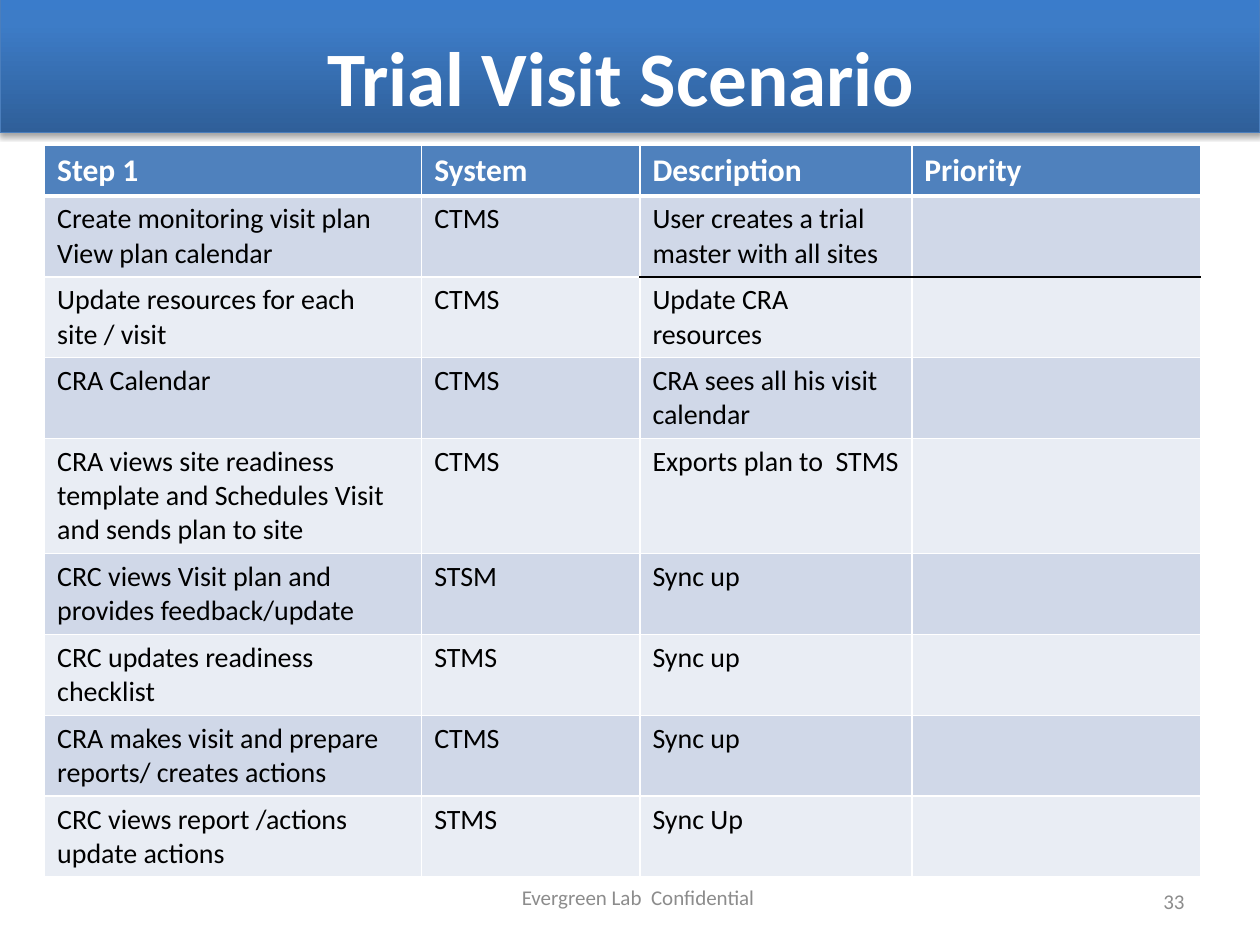
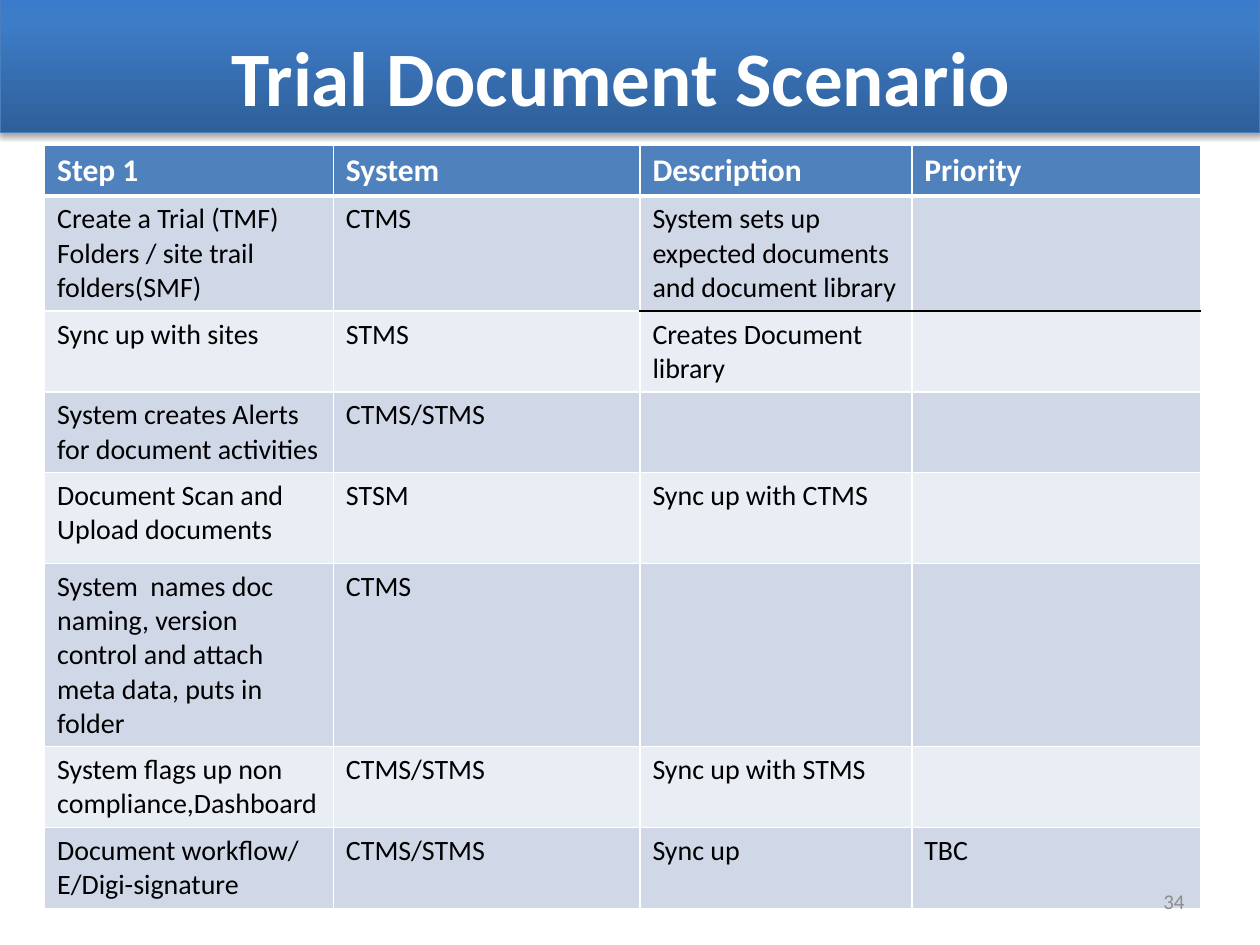
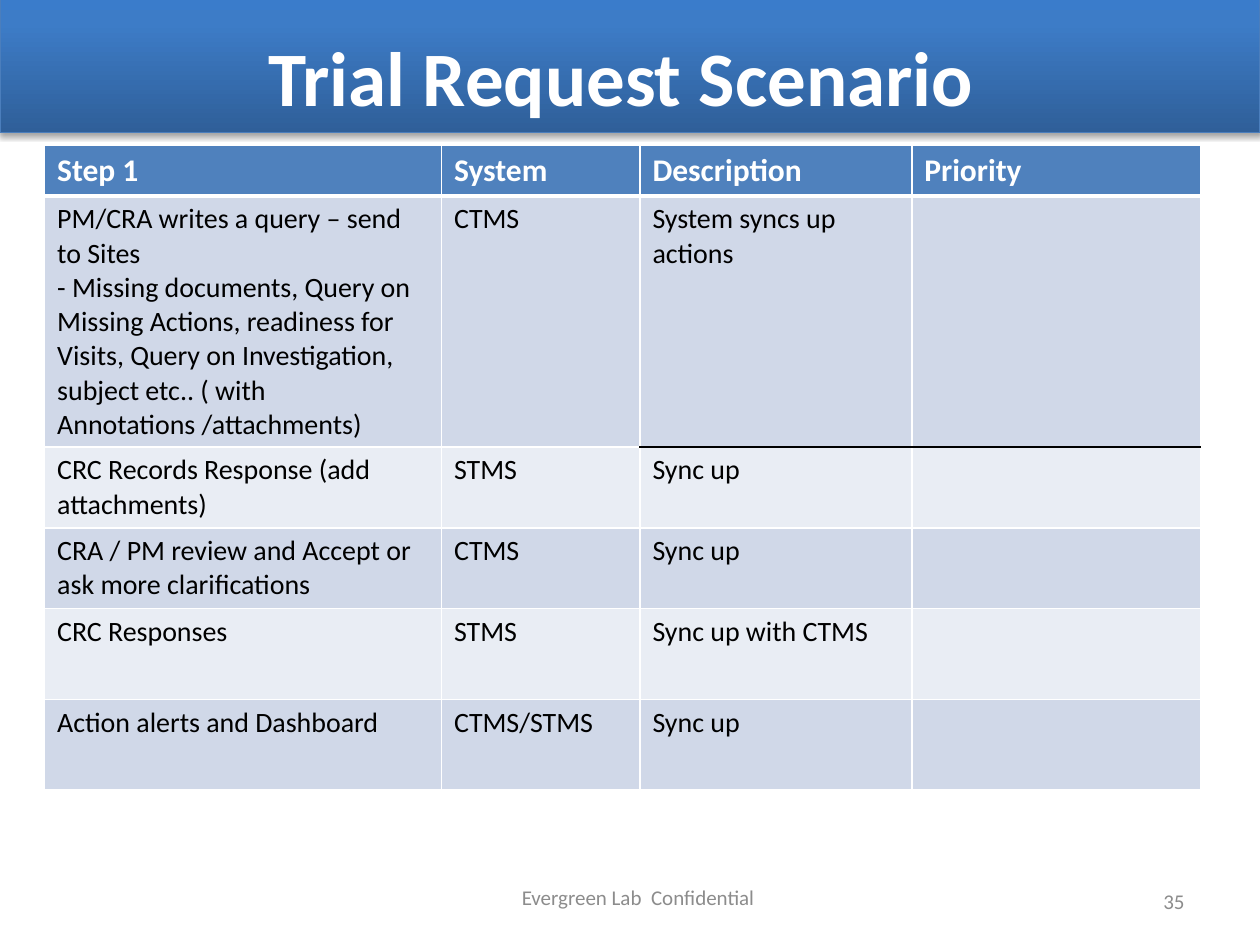
from copy import deepcopy

from lxml.etree import SubElement
from pptx import Presentation
from pptx.dml.color import RGBColor
from pptx.enum.shapes import MSO_SHAPE as Preset
from pptx.enum.text import MSO_ANCHOR as Anchor, PP_ALIGN as Align
from pptx.oxml.ns import qn
from pptx.util import Cm, Pt

HEADINGS = ("Step 1", "System", "Description", "Priority")
STEP_AND_SYSTEM_WIDTH, DESCRIPTION_WIDTH, PRIORITY_WIDTH = 12, 5.48, 5.82
HEADER_HEIGHT, TWO_LINES, THREE_LINES, SPACED = 1.02, 1.63, 2.32, 1.83

VISIT_STEPS = [
    (TWO_LINES, "Create monitoring visit plan\nView plan calendar", "CTMS",
     "User creates a trial master with all sites", ""),
    (TWO_LINES, "Update resources for each site / visit", "CTMS", "Update CRA resources", ""),
    (TWO_LINES, "CRA Calendar", "CTMS", "CRA sees all his visit calendar", ""),
    (THREE_LINES, "CRA views site readiness template and Schedules Visit and sends plan to site",
     "CTMS", "Exports plan to  STMS", ""),
    (TWO_LINES, "CRC views Visit plan and provides feedback/update", "STSM", "Sync up", ""),
    (TWO_LINES, "CRC updates readiness checklist", "STMS", "Sync up", ""),
    (TWO_LINES, "CRA makes visit and prepare reports/ creates actions", "CTMS", "Sync up", ""),
    (TWO_LINES, "CRC views report /actions update actions", "STMS", "Sync Up", ""),
]

DOCUMENT_STEPS = [
    (THREE_LINES, "Create a Trial (TMF) Folders / site trail folders(SMF)", "CTMS",
     "System sets up expected documents and document library", ""),
    (TWO_LINES, "Sync up with sites", "STMS", "Creates Document library", ""),
    (TWO_LINES, "System creates Alerts for document activities", "CTMS/STMS", "", ""),
    (SPACED, "Document Scan and Upload documents", "STSM", "Sync up with CTMS", ""),
    (3.69, "System  names doc naming, version control and attach meta data, puts in folder",
     "CTMS", "", ""),
    (TWO_LINES, "System flags up non compliance,Dashboard", "CTMS/STMS", "Sync up with STMS", ""),
    (TWO_LINES, "Document workflow/ E/Digi-signature", "CTMS/STMS", "Sync up", "TBC"),
]

REQUEST_STEPS = [
    (5.06, "PM/CRA writes a query – send to Sites\n- Missing documents, Query on Missing Actions, "
     "readiness for Visits, Query on Investigation, subject etc.. ( with Annotations /attachments)",
     "CTMS", "System syncs up actions", ""),
    (TWO_LINES, "CRC Records Response (add attachments)", "STMS", "Sync up", ""),
    (TWO_LINES, "CRA / PM review and Accept or ask more clarifications", "CTMS", "Sync up", ""),
    (SPACED, "CRC Responses", "STMS", "Sync up with CTMS", ""),
    (SPACED, "Action alerts and Dashboard", "CTMS/STMS", "Sync up", ""),
]


def color(value):
    return RGBColor.from_string(value)


class ScenarioDeck:
    font = "Calibri"
    white, black, grey = "FFFFFF", "000000", "8C8C8C"
    header_fill, stripes = "4F81BD", ("E9EDF4", "D0D8E8")
    band_line = "4B7EBC"
    band_stops = ((0, "2F5F99"), (0.8, "3D7CC7"), (1, "3A7CCB"))

    def __init__(self):
        self.deck = Presentation()
        self.deck.slide_width, self.deck.slide_height = Cm(25.4), Cm(19.05)
        self.page = None

    def add_page(self):
        self.page = self.deck.slides.add_slide(self.deck.slide_layouts[6])

    def format_text(self, frame, size, tint, bold=False, align=Align.LEFT):
        for para in frame.paragraphs:
            para.alignment = align
            for span in para.runs:
                span.font.name = self.font
                span.font.size = Pt(size)
                span.font.bold = bold
                span.font.color.rgb = color(tint)

    def add_band(self):
        band = self.page.shapes.add_shape(Preset.RECTANGLE, 0, Cm(-0.08), Cm(25.4), Cm(2.75))
        band.line.color.rgb = color(self.band_line)
        band.line.width = Pt(0.75)
        fill = band.fill
        fill.gradient()
        fill.gradient_angle = 90
        stop_list = band._element.spPr.find(qn("a:gradFill")).find(qn("a:gsLst"))
        stop_list.append(deepcopy(stop_list[-1]))
        for stop, (position, tint) in zip(fill.gradient_stops, self.band_stops):
            stop.position = position
            stop.color.rgb = color(tint)
        band.shadow.inherit = False
        effects = band._element.spPr.find(qn("a:effectLst"))
        shadow = SubElement(effects, qn("a:outerShdw"), blurRad=str(Pt(3.1)), dist=str(Pt(1.8)),
                            dir="5400000", rotWithShape="0")
        tint = SubElement(shadow, qn("a:srgbClr"), val=self.black)
        SubElement(tint, qn("a:alpha"), val="35000")

    def add_text(self, text, left, top, width, height, size, tint, bold=False, align=Align.CENTER):
        box = self.page.shapes.add_textbox(Cm(left), Cm(top), Cm(width), Cm(height))
        frame = box.text_frame
        frame.word_wrap = True
        frame.vertical_anchor = Anchor.MIDDLE
        frame.text = text
        self.format_text(frame, size, tint, bold, align)

    def add_title(self, text):
        self.add_text(text, 1.27, 0.33, 22.86, 2.39, 44, self.white, bold=True)

    def add_footer(self):
        self.add_text("Evergreen Lab  Confidential", 8.84, 17.58, 8.05, 1.02, 12, self.grey)

    def add_number(self, number):
        self.add_text(str(number), 18.21, 17.65, 5.92, 1.02, 12, self.grey, align=Align.RIGHT)

    def add_border(self, cell, side, tint, width):
        line = SubElement(cell._tc.get_or_add_tcPr(), qn(f"a:ln{side}"), w=str(Pt(width)))
        SubElement(SubElement(line, qn("a:solidFill")), qn("a:srgbClr"), val=tint)

    def format_cell(self, cell, row, column):
        is_header = row == 0
        for side in "LRTB":
            is_rule = column >= 2 and (row, side) in ((1, "B"), (2, "T"))
            is_thick = (row, side) in ((0, "B"), (1, "T"))
            self.add_border(cell, side, self.black if is_rule else self.white, 3 if is_thick else 1)
        cell.fill.solid()
        cell.fill.fore_color.rgb = color(self.header_fill if is_header else self.stripes[row % 2])
        if is_header:
            self.format_text(cell.text_frame, 18, self.white, bold=True)
        else:
            self.format_text(cell.text_frame, 16, self.black)

    def add_step_table(self, step_width, steps):
        widths = (step_width, STEP_AND_SYSTEM_WIDTH - step_width, DESCRIPTION_WIDTH, PRIORITY_WIDTH)
        rows = [(HEADER_HEIGHT, *HEADINGS), *steps]
        total_height = sum(height for height, *_ in rows)
        table = self.page.shapes.add_table(len(rows), len(widths), Cm(0.9), Cm(2.93),
                                           Cm(sum(widths)), Cm(total_height)).table
        table.horz_banding = False
        for column, width in zip(table.columns, widths):
            column.width = Cm(width)
        for row, (height, *texts) in enumerate(rows):
            table.rows[row].height = Cm(height)
            for column, text in enumerate(texts):
                cell = table.cell(row, column)
                cell.text_frame.text = text
                self.format_cell(cell, row, column)

    def add_scenario(self, number, title, step_width, steps, has_footer=True):
        self.add_page()
        self.add_band()
        if has_footer:
            self.add_footer()
        self.add_title(title)
        self.add_step_table(step_width, steps)
        self.add_number(number)


def main():
    scenarios = ScenarioDeck()
    scenarios.add_scenario(33, "Trial Visit Scenario ", 7.6, VISIT_STEPS)
    scenarios.add_scenario(34, "Trial Document Scenario ", 5.82, DOCUMENT_STEPS, has_footer=False)
    scenarios.add_scenario(35, "Trial Request Scenario ", 8, REQUEST_STEPS)
    scenarios.deck.save("out.pptx")


if __name__ == "__main__":
    main()
